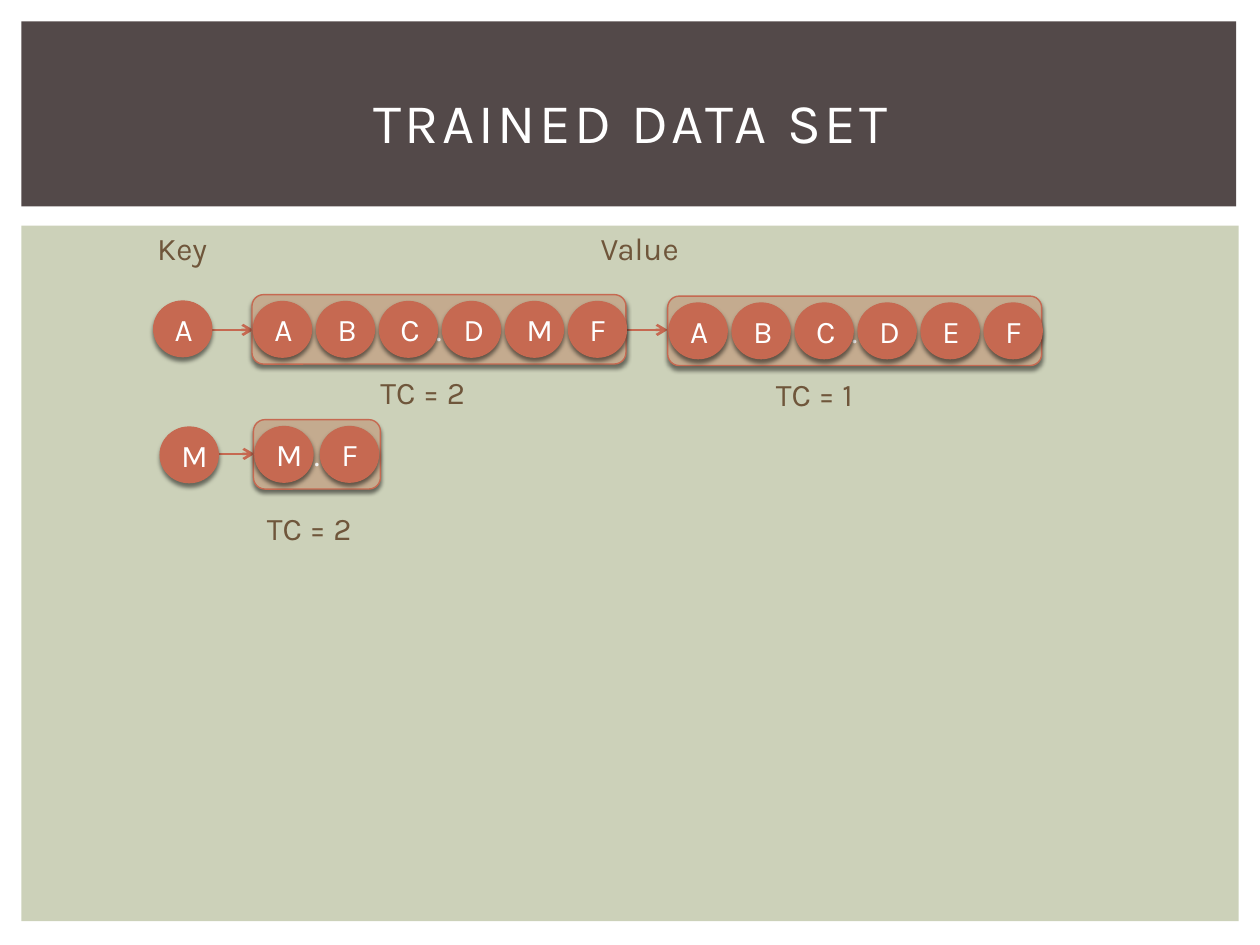
from lxml.etree import SubElement
from pptx import Presentation
from pptx.dml.color import RGBColor as Rgb
from pptx.enum.shapes import MSO_CONNECTOR as Link, MSO_SHAPE as Kind
from pptx.enum.text import MSO_ANCHOR as Anchor, MSO_AUTO_SIZE as Auto, PP_ALIGN as Align
from pptx.oxml import parse_xml
from pptx.oxml.ns import nsdecls, qn
from pptx.util import Cm, Pt

HUES = {"band": "534949", "panel": "CCD1B9", "ball": "C66951", "rim": "B8624B",
        "box": "C4AB8F", "note": "6F563B", "white": "FFFFFF", "shade": "000000"}
BALL_W, BALL_H, BOX_H = 1.17, 1.12, 1.4


class Board:
    """Holds the text style and the current slide, and draws each kind of element."""

    def __init__(self, deck):
        self.slide = deck.slides.add_slide(deck.slide_layouts[5])
        self.shapes = self.slide.shapes
        self.style = {"name": "Karla", "size": Pt(18), "bold": False}

    def hue(self, name):
        return Rgb.from_string(HUES[name])

    def label(self, shape, text, hue, align, **extra):
        para = shape.text_frame.paragraphs[0]
        para.alignment = align
        run = para.add_run()
        run.text = text
        for key, value in {**self.style, **extra}.items():
            setattr(run.font, key, value)
        run.font.color.rgb = self.hue(hue)

    def title(self, text, *area):
        head = self.shapes.title
        for key, value in zip(("left", "top", "width", "height"), area):
            setattr(head, key, Cm(value))
        head.text_frame.vertical_anchor = Anchor.MIDDLE
        self.label(head, text, "white", Align.CENTER, size=Pt(32))
        for props in head.element.iter(qn("a:rPr")):
            props.set("spc", "200")
        head.element.getparent().append(head.element)

    def shape(self, kind, hue, *area):
        item = self.shapes.add_shape(kind, *map(Cm, area))
        item.shadow.inherit = False
        item.fill.solid()
        item.fill.fore_color.rgb = self.hue(hue)
        item.line.fill.background()
        return item

    def raised(self, kind, hue, text, *area):
        item = self.shape(kind, hue, *area)
        item.line.color.rgb = self.hue("ball")
        item.line.width = Pt(0.79)
        item.text_frame.vertical_anchor = Anchor.MIDDLE
        self.label(item, text, "white", Align.CENTER)
        glow = item.element.spPr.find(qn("a:effectLst"))
        glow.append(parse_xml(
            f'<a:outerShdw {nsdecls("a")} blurRad="{Pt(2.5)}" dist="{Pt(2)}" dir="5400000" '
            f'rotWithShape="0"><a:srgbClr val="{HUES["shade"]}"><a:alpha val="50000"/>'
            '</a:srgbClr></a:outerShdw>'))
        return item

    def ball(self, text, left, top):
        item = self.raised(Kind.OVAL, "ball", text, left, top, BALL_W, BALL_H)
        props = item.element.spPr
        stops = "".join(f'<a:gs pos="{pos}000"><a:srgbClr val="{HUES[hue]}"/></a:gs>'
                        for pos, hue in ((0, "ball"), (90, "ball"), (100, "rim")))
        props.replace(props.find(qn("a:solidFill")), parse_xml(
            f'<a:gradFill {nsdecls("a")} rotWithShape="1"><a:gsLst>{stops}</a:gsLst>'
            '<a:path path="circle"><a:fillToRect l="100000" t="100000" r="100000" b="100000"/>'
            '</a:path></a:gradFill>'))

    def chain(self, names, left, top, pitch=1.27):
        self.raised(Kind.ROUNDED_RECTANGLE, "box", ".", left, top,
                    len(names) * pitch - 0.08, BOX_H)
        for i, name in enumerate(names):
            self.ball(name, left + 0.03 + i * pitch, top + 0.14)

    def arrow(self, *ends):
        item = self.shapes.add_connector(Link.STRAIGHT, *map(Cm, ends))
        item.line.color.rgb = self.hue("ball")
        item.line.width = Pt(1.5)
        props = item.element.spPr
        SubElement(props.find(qn("a:ln")), qn("a:tailEnd"), type="arrow")
        SubElement(props, qn("a:effectLst"))

    def note(self, text, left, top):
        item = self.shapes.add_textbox(*map(Cm, (left, top, 3.53, 1.02)))
        item.text_frame.word_wrap = True
        item.text_frame.auto_size = Auto.SHAPE_TO_FIT_TEXT
        self.label(item, text, "note", Align.LEFT)


def main():
    deck = Presentation()
    deck.slide_width, deck.slide_height = Cm(25.4), Cm(19.05)
    board = Board(deck)
    board.shape(Kind.RECTANGLE, "panel", 0.43, 4.55, 24.54, 14.02)
    board.shape(Kind.RECTANGLE, "band", 0.43, 0.43, 24.49, 3.73)
    board.title("TRAINED DATA SET", 1.07, 0.99, 23.29, 2.92)
    for ends in ((4.27, 6.65, 5.11, 6.65), (12.62, 6.65, 13.46, 6.65), (4.39, 9.15, 5.13, 9.15)):
        board.arrow(*ends)
    for key, left, top in (("A", 3.1, 6.07), ("M", 3.23, 8.61)):
        board.ball(key, left, top)
    board.chain("ABCDMF", 5.08, 5.94)
    board.chain("ABCDEF", 13.46, 5.97)
    board.chain("MF", 5.11, 8.46, 1.32)
    for text, left, top in (("Key", 2.92, 4.5), ("Value", 11.86, 4.5), ("TC = 2", 7.42, 7.39),
                            ("TC = 1", 15.39, 7.44), ("TC = 2", 5.13, 10.13)):
        board.note(text, left, top)
    deck.save("out.pptx")


if __name__ == "__main__":
    main()
